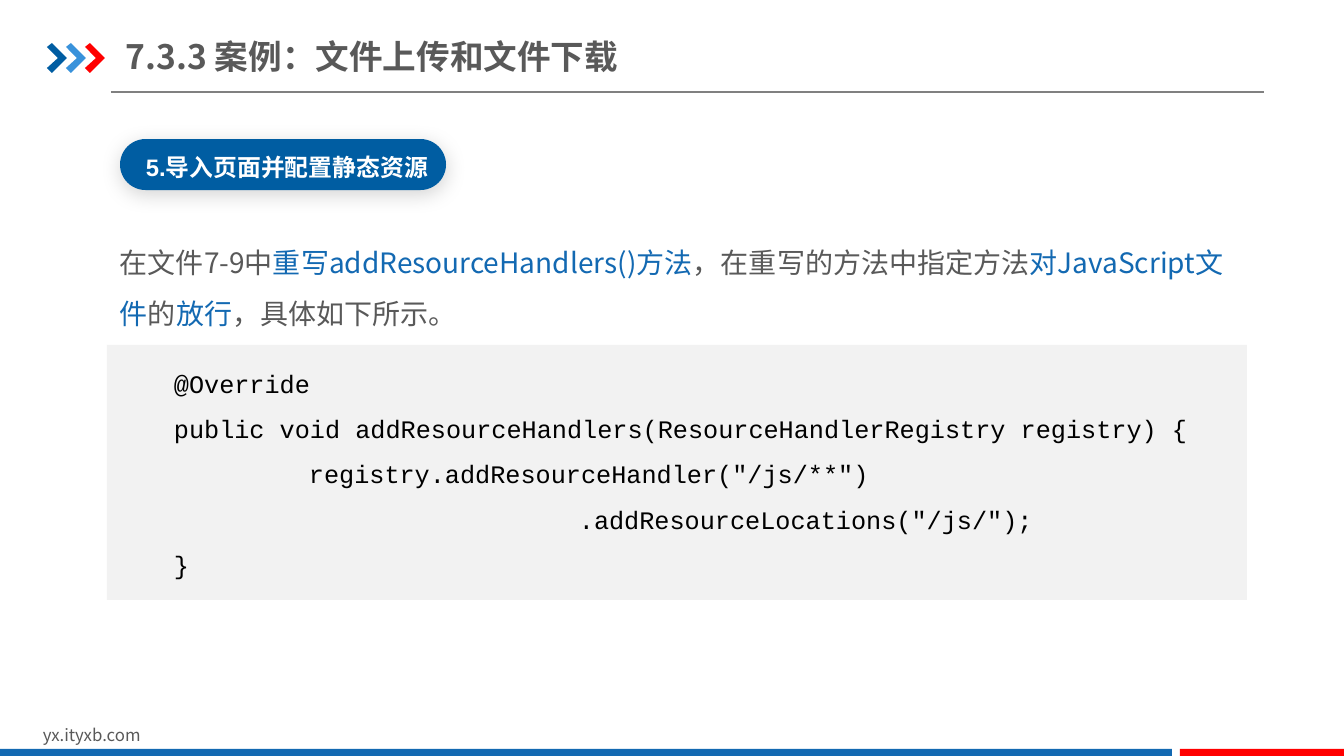
from lxml.etree import SubElement
from pptx import Presentation
from pptx.dml.color import RGBColor
from pptx.enum.shapes import MSO_CONNECTOR, MSO_SHAPE
from pptx.enum.text import MSO_ANCHOR, MSO_AUTO_SIZE, PP_ALIGN
from pptx.oxml import parse_xml
from pptx.oxml.ns import qn
from pptx.util import Emu, Pt

PX = 914400 / 100.8
SANS = "Noto Sans CJK SC"
BLUE, NAVY, RED, GREY = "1369B2", "005DA2", "FF0000", "595959"
TAB = 135

CODE = """@Override
public void addResourceHandlers(ResourceHandlerRegistry registry) {
\tregistry.addResourceHandler("/js/**")
\t\t\t.addResourceLocations("/js/");
}"""

SHADOW = """<a:effectLst xmlns:a="http://schemas.openxmlformats.org/drawingml/2006/main">
<a:outerShdw blurRad="190500" dist="38100" dir="5400000" algn="t" rotWithShape="0">
<a:srgbClr val="000000"><a:alpha val="17000"/></a:srgbClr>
</a:outerShdw></a:effectLst>"""


def px(n):
    return Emu(round(n * PX))


def rgb(code):
    return RGBColor.from_string(code)


def put(item, opts):
    """Set each attribute named in opts."""
    for key, val in opts.items():
        setattr(item, key, val)


def paint(shape, color):
    shape.shadow.inherit = False
    shape.fill.solid()
    shape.fill.fore_color.rgb = rgb(color)
    shape.line.fill.background()


def block(slide, box, color, kind=MSO_SHAPE.RECTANGLE):
    shape = slide.shapes.add_shape(kind, *map(px, box))
    paint(shape, color)
    return shape


def pill(slide, box, color):
    shape = block(slide, box, color, MSO_SHAPE.ROUNDED_RECTANGLE)
    shape.adjustments[0] = 0.5
    props = shape.fill._xPr
    props.replace(props.find(qn("a:effectLst")), parse_xml(SHADOW))


def arrow(slide, left, top, color):
    spots = [(left + x, top + y) for x, y in
             ((0, 4), (5, 0), (20, 15), (5, 30), (0, 25), (11, 15))]
    form = slide.shapes.build_freeform(*spots[0], scale=PX)
    form.add_line_segments(spots[1:], close=True)
    paint(form.convert_to_shape(), color)


def rule(slide, left, right, y, color):
    line = slide.shapes.add_connector(
        MSO_CONNECTOR.STRAIGHT, px(left), px(y), px(right), px(y))
    line.line.color.rgb = rgb(color)
    line.line.width = Pt(0.75)
    SubElement(line._element.spPr, qn("a:effectLst"))


def tabs(para, count):
    stops = SubElement(para._p.get_or_add_pPr(), qn("a:tabLst"))
    for i in range(1, count + 1):
        SubElement(stops, qn("a:tab"), pos=str(px(TAB * i)), algn="l")


def text(slide, box, lines, font, frame=None, para=None, stops=0):
    """Add a text box; each line is a list of (words, color) runs."""
    area = slide.shapes.add_textbox(*map(px, box)).text_frame
    put(area, {"word_wrap": True, **(frame or {})})
    for i, runs in enumerate(lines):
        p = area.paragraphs[0] if i == 0 else area.add_paragraph()
        put(p, para or {})
        if stops:
            tabs(p, stops)
        for words, color in runs:
            run = p.add_run()
            run.text = words
            put(run.font, font)
            run.font.color.rgb = rgb(color)
            SubElement(run.font._element, qn("a:ea"), typeface=SANS)


def main():
    deck = Presentation()
    put(deck, {"slide_width": px(1344), "slide_height": px(756)})
    slide = deck.slides.add_slide(deck.slide_layouts[6])
    grow = {"auto_size": MSO_AUTO_SIZE.SHAPE_TO_FIT_TEXT}

    rule(slide, 111, 1264, 92, "808080")
    for i, color in enumerate((NAVY, "3992DB", RED)):
        arrow(slide, 47 + 19 * i, 43, color)
    text(slide, (33, 720, 321, 30), [[("yx.ityxb.com", GREY)]],
         {"name": SANS, "size": Pt(12)}, grow)
    block(slide, (0, 749, 1172, 7), BLUE)
    block(slide, (1180, 749, 164, 7), RED)

    text(slide, (126, 29, 725, 55), [[("7.3.3 案例：文件上传和文件下载", GREY)]],
         {"name": SANS, "size": Pt(24), "bold": True},
         {"vertical_anchor": MSO_ANCHOR.MIDDLE, "margin_left": 0,
          "margin_right": 0, "margin_top": px(7), "margin_bottom": px(7)})

    pill(slide, (120, 139, 326, 51), NAVY)
    text(slide, (104, 138, 366, 60), [[("5.导入页面并配置静态资源", "FFFFFF")]],
         {"name": "Arial", "size": Pt(17), "bold": True},
         para={"alignment": PP_ALIGN.CENTER, "line_spacing": 1.35})

    intro = [("在文件7-9中", GREY), ("重写addResourceHandlers()方法", BLUE),
             ("，在重写的方法中指定方法", GREY), ("对JavaScript文件", BLUE),
             ("的", GREY), ("放行", BLUE), ("，具体如下所示。", GREY)]
    text(slide, (110, 224, 1135, 112), [intro],
         {"name": SANS, "size": Pt(20)}, grow, {"line_spacing": 1.5})

    block(slide, (107, 345, 1140, 255), "F2F2F2")
    text(slide, (164, 348, 1051, 253),
         [[(line, "000000")] for line in CODE.split("\n")],
         {"name": "Courier New", "size": Pt(18)},
         para={"line_spacing": 1.5}, stops=3)
    deck.save("out.pptx")


if __name__ == "__main__":
    main()
